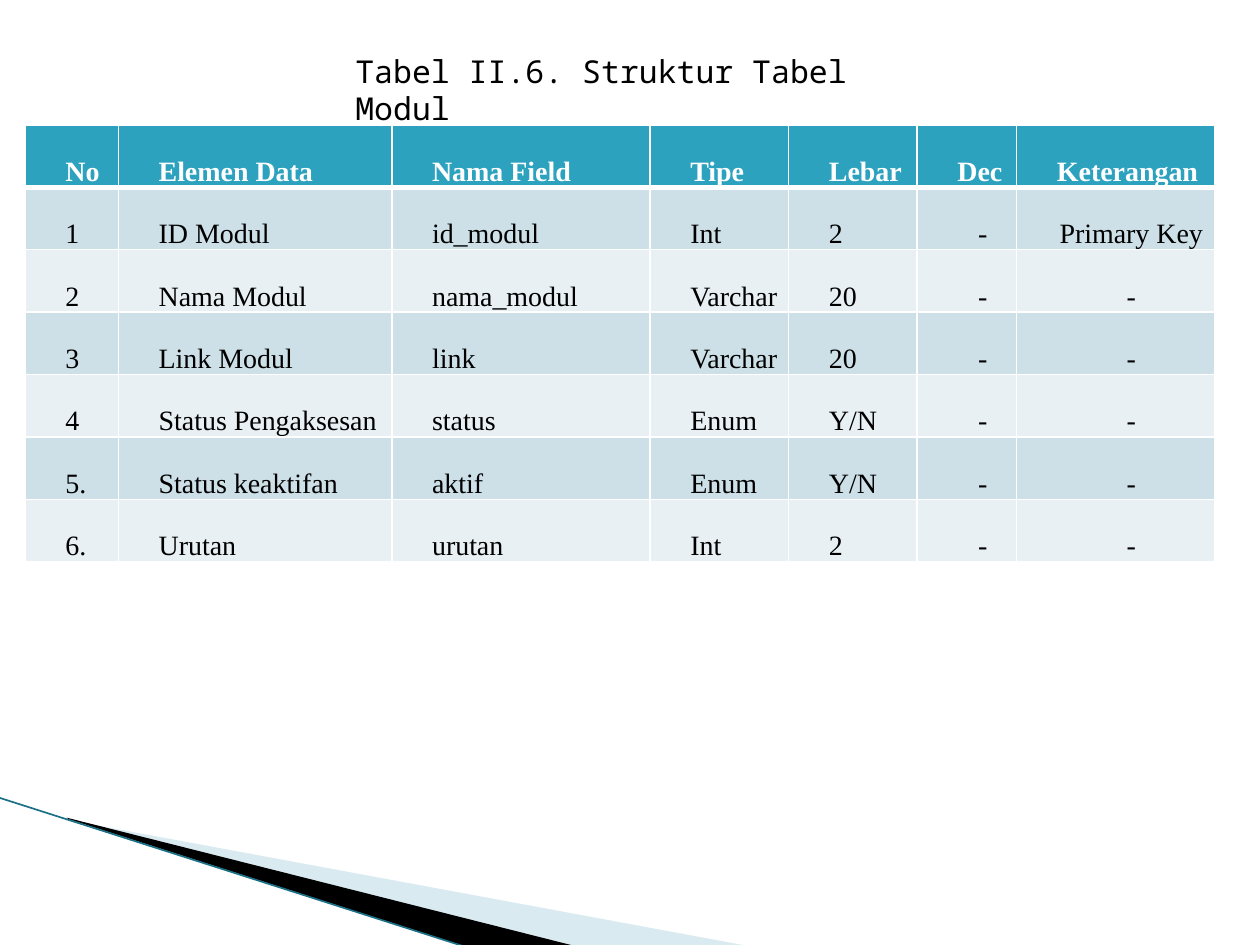
import lxml.etree
import pptx
import pptx.dml.color
import pptx.enum.shapes
import pptx.enum.text
import pptx.oxml.ns
import pptx.util

ALIGN = pptx.enum.text.PP_ALIGN
ANCHOR = pptx.enum.text.MSO_ANCHOR
COLUMNS, ROWS = 100, 75  # the slide grid, in cells of a tenth of an inch

HEADER = ["No", "Elemen Data", "Nama Field", "Tipe", "Lebar", "Dec", "Keterangan"]
FIELDS = [
    ["1", "ID Modul", "id_modul", "Int", "2", "-", "Primary Key"],
    ["2", "Nama Modul", "nama_modul", "Varchar", "20", "-", "-"],
    ["3", "Link Modul", "link", "Varchar", "20", "-", "-"],
    ["4", "Status Pengaksesan", "status", "Enum", "Y/N", "-", "-"],
    ["5.", "Status keaktifan", "aktif", "Enum", "Y/N", "-", "-"],
    ["6.", "Urutan", "urutan", "Int", "2", "-", "-"],
]
COLUMN_WIDTHS = [7.4, 21.7, 20.5, 11, 10.2, 7.9, 15.7]
FIRST_CENTRED_COLUMN = 5


def colour(hex_string):
    return pptx.dml.color.RGBColor.from_string(hex_string)


def add_child(parent, tag, **attributes):
    return lxml.etree.SubElement(parent, pptx.oxml.ns.qn(tag), attributes)


def write_text(frame, text, font, size, ink="000000", bold=False,
               align=ALIGN.LEFT, indent=0, spacing=None):
    para = frame.paragraphs[0]
    para.alignment = align
    para.line_spacing = spacing
    if indent:
        para._p.get_or_add_pPr().set("marL", str(indent))
    span = para.add_run()
    span.text = text
    span.font.name = font
    span.font.size = pptx.util.Pt(size)
    span.font.bold = bold
    span.font.color.rgb = colour(ink)


def set_borders(cell, hex_string, **widths):
    """Draw solid cell borders; widths are points by side: L, R, T, B."""
    properties = cell._tc.get_or_add_tcPr()
    for side, width in widths.items():
        line = add_child(properties, f"a:ln{side}", w=str(pptx.util.Pt(width)))
        add_child(add_child(line, "a:solidFill"), "a:srgbClr", val=hex_string)


class Sheet:
    TITLE_FONT = "Noto Sans Mono"
    TABLE_FONT = "Times New Roman"
    HEADER_FILL = "2DA2BF"
    BAND_FILLS = ["CDE0E8", "E8F0F4"]
    RULE = "FFFFFF"

    def __init__(self, deck):
        self.deck = deck
        self.page = deck.slides.add_slide(deck.slide_layouts[5])

    def x(self, columns):
        return round(self.deck.slide_width * columns / COLUMNS)

    def y(self, rows):
        return round(self.deck.slide_height * rows / ROWS)

    def area(self, left, top, width, height):
        return self.x(left), self.y(top), self.x(width), self.y(height)

    def title(self, text, *area):
        box = self.page.shapes.title
        box.left, box.top, box.width, box.height = self.area(*area)
        frame = box.text_frame
        frame.word_wrap = True
        frame.auto_size = pptx.enum.text.MSO_AUTO_SIZE.NONE
        frame.vertical_anchor = ANCHOR.TOP
        write_text(frame, text, self.TITLE_FONT, 18)
        box.element.getparent().append(box.element)  # in front of the table

    def wedge(self, points, fill, opacity=100):
        corners = [(self.x(across), self.y(down)) for across, down in points]
        builder = self.page.shapes.build_freeform(*corners[0])
        builder.add_line_segments(corners[1:])
        shape = builder.convert_to_shape()
        shape.shadow.inherit = False
        shape.line.fill.background()
        shape.fill.solid()
        shape.fill.fore_color.rgb = colour(fill)
        if opacity < 100:
            tint = shape.element.spPr.find(".//" + pptx.oxml.ns.qn("a:srgbClr"))
            add_child(tint, "a:alpha", val=str(opacity * 1000))

    def line(self, left, top, right, bottom, ink, width):
        connector = self.page.shapes.add_connector(
            pptx.enum.shapes.MSO_CONNECTOR.STRAIGHT,
            self.x(left), self.y(top), self.x(right), self.y(bottom))
        connector.line.color.rgb = colour(ink)
        connector.line.width = pptx.util.Pt(width)
        add_child(connector.element.spPr, "a:effectLst")

    def table(self, records, widths, left, top, height):
        table = self.page.shapes.add_table(
            len(records), len(widths),
            *self.area(left, top, sum(widths), height)).table
        table.horz_banding = False
        for column, width in zip(table.columns, widths):
            column.width = self.x(width)
        for row, record in enumerate(records):
            table.rows[row].height = self.y(height / len(records))
            for column, text in enumerate(record):
                self.cell(table.cell(row, column), text, row, column)

    def cell(self, cell, text, row, column):
        header = row == 0
        centred = not header and column >= FIRST_CENTRED_COLUMN
        cell.margin_left = cell.margin_right = self.x(0.7)
        cell.margin_top = cell.margin_bottom = 0
        cell.vertical_anchor = ANCHOR.BOTTOM
        set_borders(cell, self.RULE, L=1, R=1,
                    T=3 if row == 1 else 1, B=3 if header else 1)
        cell.fill.solid()
        cell.fill.fore_color.rgb = colour(
            self.HEADER_FILL if header else self.BAND_FILLS[(row - 1) % 2])
        write_text(cell.text_frame, text, self.TABLE_FONT, 16,
                   ink="FFFFFF" if header else "000000", bold=header,
                   align=ALIGN.CENTER if centred else ALIGN.LEFT,
                   indent=self.x(2.5), spacing=1.5)


def main():
    deck = pptx.Presentation()
    deck.slide_width = pptx.util.Inches(10)
    deck.slide_height = pptx.util.Inches(7.5)
    sheet = Sheet(deck)
    sheet.wedge([(5.5, 65.1), (59.5, 75.1), (45.6, 75.1), (5.5, 65)],
                "A0CBDC", opacity=40)
    sheet.wedge([(5.3, 64.9), (45.7, 75.1), (37.2, 75.2), (5.4, 65)], "000000")
    sheet.line(-0.1, 63.3, 37.1, 75.2, "1B7086", 0.95)
    sheet.table([HEADER] + FIELDS, COLUMN_WIDTHS, 2, 9.9, 34.7)
    sheet.title("Tabel II.6. Struktur Tabel Modul", 27.2, 3.6, 42.5, 4)
    deck.save("out.pptx")


if __name__ == "__main__":
    main()
